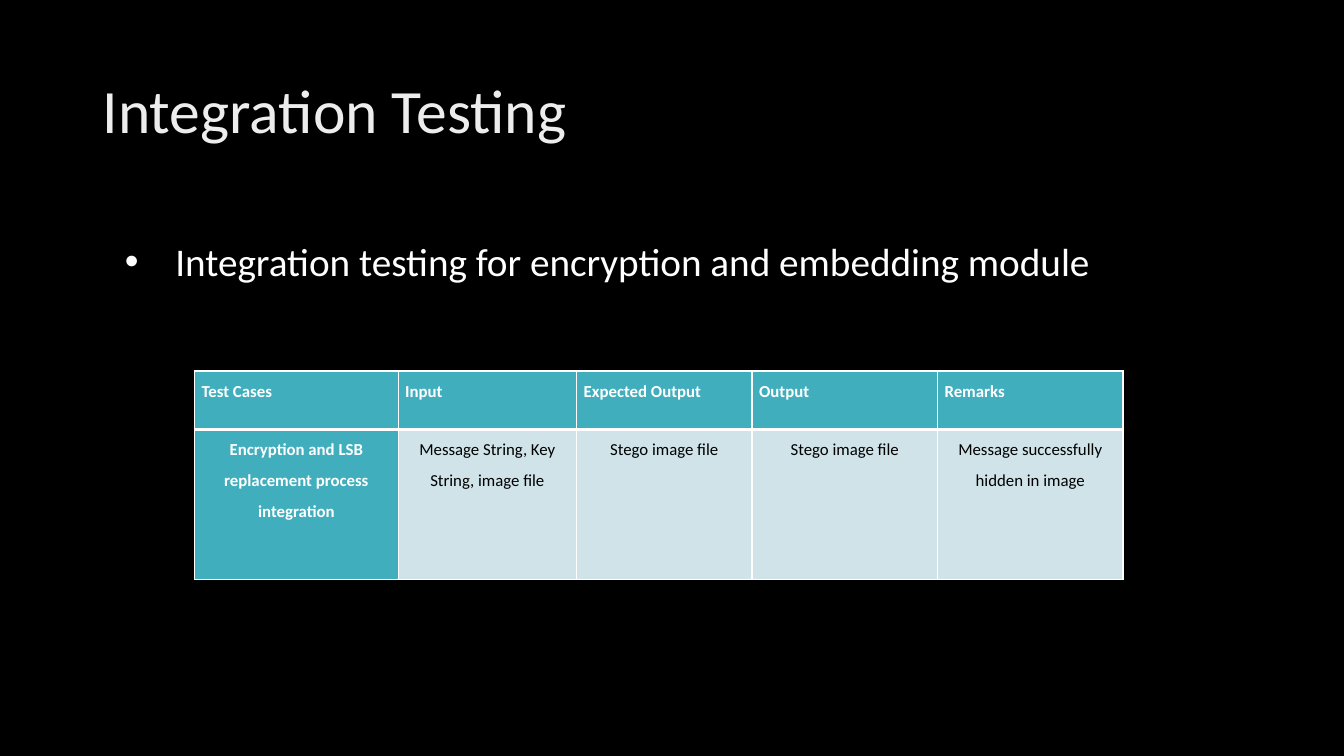
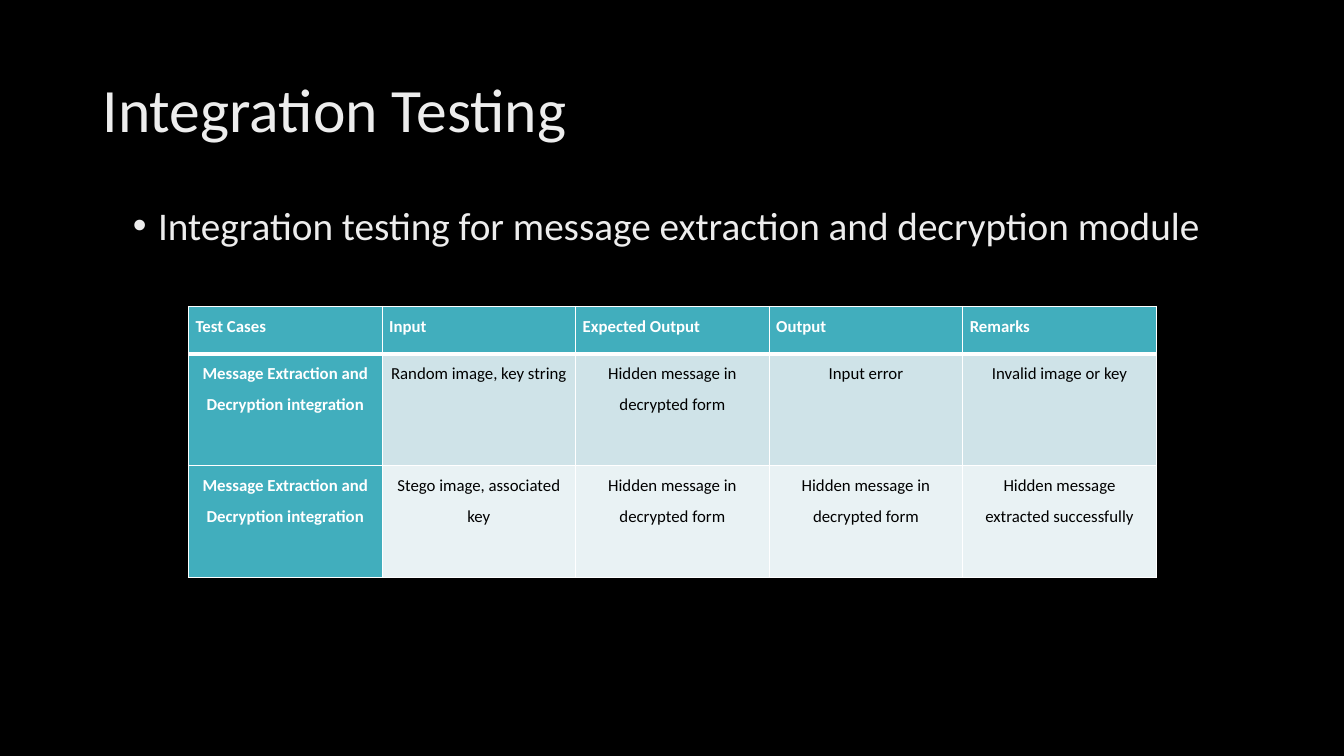
import pptx
import pptx.util
import pptx.dml.color
import pptx.enum.text
import pptx.oxml
import pptx.oxml.ns

Inches = pptx.util.Inches
Pt = pptx.util.Pt
ALIGN = pptx.enum.text.PP_ALIGN
ANCHOR = pptx.enum.text.MSO_ANCHOR
FONT = "Calibri"
COLORS = {
    "background": "000000",
    "title": "EDEDED",
    "white": "FFFFFF",
    "black": "000000",
    "teal": "41AEBD",
    "band_dark": "CFE3E8",
    "band_light": "E9F2F4",
}
HEADERS = ["Test Cases", "Input", "Expected Output", "Output", "Remarks"]

SLIDES = [
    {
        "title_height": 1.45,
        "bullet": "Integration testing for encryption and embedding module",
        "bullet_box": (1.14, 2.31, 10.02, 1.04),
        "bullet_color": "white",
        "indent": 0.5,
        "line_spacing": 1.0,
        "space_before": 0,
        "table_at": (1.93, 3.68),
        "columns": [2.02, 1.77, 1.74, 1.84, 1.84],
        "rows": [0.58, 1.49],
        "cases": [
            ["Encryption and LSB replacement process integration",
             "Message String, Key String, image file",
             "Stego image file", "Stego image file",
             "Message successfully hidden in image"],
        ],
    },
    {
        "title_height": 1.43,
        "bullet": "Integration testing for message extraction and decryption module",
        "bullet_box": (1.22, 2, 11.19, 4.76),
        "bullet_color": "title",
        "indent": 0.25,
        "line_spacing": 0.9,
        "space_before": 10,
        "table_at": (1.87, 3.04),
        "columns": [1.92] * 5,
        "rows": [0.47, 1.11, 1.11],
        "cases": [
            ["Message Extraction and Decryption integration",
             "Random image, key string",
             "Hidden message in decrypted form",
             "Input error", "Invalid image or key"],
            ["Message Extraction and Decryption integration",
             "Stego image, associated key",
             "Hidden message in decrypted form",
             "Hidden message in decrypted form",
             "Hidden message extracted successfully"],
        ],
    },
]


def add_span(para, text, size, color, bold=False):
    span = para.add_run()
    span.text = text
    span.font.name = FONT
    span.font.size = Pt(size)
    span.font.bold = bold
    span.font.color.rgb = pptx.dml.color.RGBColor.from_string(COLORS[color])


def add_text_box(page, place, anchor):
    box = page.shapes.add_textbox(*[Inches(length) for length in place])
    box.text_frame.word_wrap = True
    box.text_frame.vertical_anchor = anchor
    return box.text_frame.paragraphs[0]


deck = pptx.Presentation()
deck.slide_width = Inches(13.33)
deck.slide_height = Inches(7.5)

for content in SLIDES:
    page = deck.slides.add_slide(deck.slide_layouts[6])
    page.background.fill.solid()
    page.background.fill.fore_color.rgb = pptx.dml.color.RGBColor.from_string(COLORS["background"])

    para = add_text_box(page, (0.92, 0.4, 11.5, content["title_height"]), ANCHOR.MIDDLE)
    para.line_spacing = 0.9
    add_span(para, "Integration Testing", 44, "title")

    para = add_text_box(page, content["bullet_box"], ANCHOR.TOP)
    para.line_spacing = content["line_spacing"]
    para.space_before = Pt(content["space_before"])
    properties = para._p.get_or_add_pPr()
    properties.set("marL", str(Inches(content["indent"])))
    properties.set("indent", str(-Inches(content["indent"])))
    for tag, name, value in [("buFont", "typeface", "Arial"), ("buChar", "char", "•")]:
        bullet = pptx.oxml.parse_xml(
            f'<a:{tag} {pptx.oxml.ns.nsdecls("a")} {name}="{value}"/>')
        properties.append(bullet)
    add_span(para, content["bullet"], 28, content["bullet_color"])

    left, top = content["table_at"]
    grid = [HEADERS] + content["cases"]
    table = page.shapes.add_table(
        len(grid), len(HEADERS), Inches(left), Inches(top),
        Inches(sum(content["columns"])), Inches(sum(content["rows"]))).table
    for column, width in zip(table.columns, content["columns"]):
        column.width = Inches(width)
    for row, height in zip(table.rows, content["rows"]):
        row.height = Inches(height)

    for row_index, texts in enumerate(grid):
        for column_index, text in enumerate(texts):
            cell = table.cell(row_index, column_index)
            is_header = row_index == 0
            is_label = is_header or column_index == 0
            band = "band_dark" if row_index % 2 else "band_light"
            cell.margin_left = cell.margin_right = Inches(0.07)
            cell.margin_top = cell.margin_bottom = 0

            widths = {"L": 1, "R": 1, "T": 3 if row_index == 1 else 1, "B": 3 if is_header else 1}
            for side, width in widths.items():
                border = pptx.oxml.parse_xml(
                    f'<a:ln{side} {pptx.oxml.ns.nsdecls("a")} w="{Pt(width)}"><a:solidFill>'
                    f'<a:srgbClr val="{COLORS["white"]}"/></a:solidFill></a:ln{side}>')
                cell._tc.get_or_add_tcPr().append(border)
            cell.fill.solid()
            cell.fill.fore_color.rgb = pptx.dml.color.RGBColor.from_string(
                COLORS["teal" if is_label else band])

            para = cell.text_frame.paragraphs[0]
            para.alignment = ALIGN.JUSTIFY if is_header else ALIGN.CENTER
            para.line_spacing = 1.5
            para.space_after = Pt(6)
            add_span(para, text, 12, "white" if is_label else "black", is_label)

deck.save("out.pptx")
